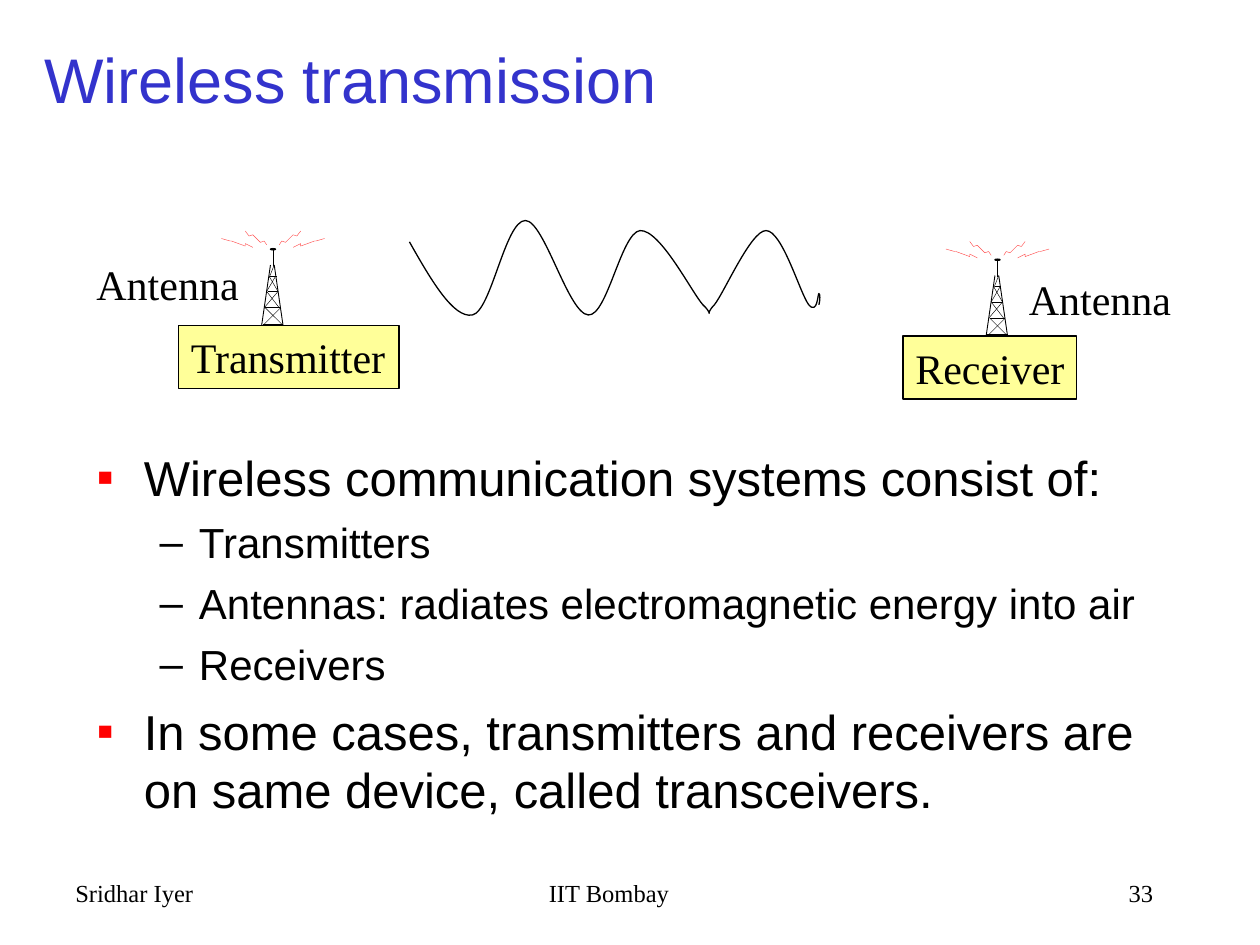
from dataclasses import dataclass
from pptx import Presentation
from pptx.dml.color import RGBColor as Rgb
from pptx.enum.shapes import MSO_CONNECTOR as Link, MSO_SHAPE as Form
from pptx.enum.text import MSO_ANCHOR as Anchor, MSO_AUTO_SIZE as Auto, PP_ALIGN as Align
from pptx.oxml.ns import qn
from pptx.util import Inches, Pt
from lxml.etree import SubElement as Sub

WIDE, HIGH = Inches(10), Inches(7.5)
CELL = WIDE // 120


@dataclass(frozen=True)
class Theme:
    ink: str = "000000"
    title: str = "3333CC"
    mark: str = "FF0000"
    bolt: str = "FF5050"
    box: str = "FFFF99"
    tip: str = "C0C0C0"
    sans: str = "Arial"
    serif: str = "Times New Roman"
    head: int = 36
    top: int = 28
    sub: int = 24
    foot: int = 14


LOOK = Theme()

BOLTS = [
    [(.16, -.62), (.22, -.65), (.22, -.63), (.33, -.67), (.34, -.67), (.41, -.69)],
    [(.05, -.64), (.07, -.67), (.1, -.66), (.16, -.72), (.19, -.71), (.22, -.75)],
]
BARS = [
    (-.02, -.39, .03, -.39), (0, -.47, 0, -.6), (-.09, 0, -.02, -.48),
    (.01, -.48, .08, 0), (-.08, -.01, .08, -.01), (-.06, -.14, .06, -.14),
    (-.04, -.27, .04, -.27),
]
BRACES = [
    (-.06, -.14, .07, -.01), (.06, -.14, -.07, -.01), (-.05, -.27, .05, -.14),
    (-.07, -.14, .04, -.27), (-.03, -.39, .04, -.27), (-.05, -.27, .02, -.39),
    (-.03, -.38, .01, -.48),
]
WAVE = [
    (3.25, 1.92),
    (3.42, 2.22), (3.6, 2.53), (3.75, 2.5), (3.9, 2.47), (4.01, 1.75), (4.17, 1.75),
    (4.32, 1.75), (4.51, 2.49), (4.67, 2.5), (4.82, 2.51), (4.93, 1.85), (5.08, 1.83),
    (5.24, 1.82), (5.49, 2.32), (5.58, 2.42), (5.68, 2.51), (5.58, 2.51), (5.67, 2.42),
    (5.75, 2.32), (5.96, 1.83), (6.08, 1.83), (6.21, 1.83), (6.35, 2.33), (6.42, 2.42),
    (6.49, 2.5), (6.49, 2.33), (6.5, 2.33), (6.51, 2.33), (6.51, 2.38), (6.5, 2.42),
]
POINTS = [
    ("Wireless communication systems consist of:", 0),
    ("Transmitters", 1),
    ("Antennas: radiates electromagnetic energy into air", 1),
    ("Receivers", 1),
    ("In some cases, transmitters and receivers are on same device, called transceivers.", 0),
]


def apply(item, **form):
    for key, value in form.items():
        setattr(item, key, value)


def grid(*cells):
    return [round(n * CELL) for n in cells]


def place(item, *cells):
    x, y, w, h = grid(*cells)
    apply(item, left=x, top=y, width=w, height=h)


def write(para, text, size, face, tone=LOOK.ink):
    run = para.add_run()
    run.text = text
    apply(run.font, size=Pt(size), name=face)
    run.font.color.rgb = Rgb.from_string(tone)


def stroke(item, tone, width):
    item.line.color.rgb = Rgb.from_string(tone)
    item.line.width = Pt(width)


def paint(item, tone):
    item.shadow.inherit = False
    item.fill.solid()
    item.fill.fore_color.rgb = Rgb.from_string(tone)
    stroke(item, LOOK.ink, .75)


def trace(shapes, spots, tone, width):
    pen = shapes.build_freeform(*spots[0], scale=1.0)
    pen.add_line_segments(spots[1:], close=False)
    item = pen.convert_to_shape()
    item.shadow.inherit = False
    item.fill.background()
    stroke(item, tone, width)
    return item


def bar(shapes, ends, width):
    item = shapes.add_connector(Link.STRAIGHT, *ends)
    stroke(item, LOOK.ink, width)
    Sub(item._element.spPr, qn("a:effectLst"))


def tower(slide, col, row):
    shapes = slide.shapes.add_group_shape().shapes
    x, y = grid(col, row)
    for side in (1, -1):
        for bolt in BOLTS:
            spots = [(x + Inches(side * dx), y + Inches(dy)) for dx, dy in bolt]
            trace(shapes, spots, LOOK.bolt, .25)
    for rows, width in ((BARS, .5), (BRACES, .25)):
        for a, b, c, d in rows:
            ends = x + Inches(a), y + Inches(b), x + Inches(c), y + Inches(d)
            bar(shapes, ends, width)
    tip = shapes.add_shape(Form.OVAL, x - Inches(.02), y - Inches(.61), Inches(.04), Inches(.01))
    paint(tip, LOOK.tip)


def fill(item, text, size, align=Align.LEFT, wrap=False):
    apply(item.text_frame, word_wrap=wrap, vertical_anchor=Anchor.TOP)
    para = item.text_frame.paragraphs[0]
    para.alignment = align
    write(para, text, size, LOOK.serif)


def label(slide, text, x, y, w, size=LOOK.sub, **form):
    item = slide.shapes.add_textbox(*grid(x, y, w, 6))
    fill(item, text, size, **form)


def box(slide, text, x, y, w):
    item = slide.shapes.add_shape(Form.RECTANGLE, *grid(x, y, w, 6))
    paint(item, LOOK.box)
    fill(item, text, LOOK.sub)


def wave(slide):
    spots = [(Inches(x), Inches(y)) for x, y in WAVE]
    item = trace(slide.shapes, spots, LOOK.ink, .75)
    steps = list(item._element.iter(qn("a:lnTo")))
    route = steps[0].getparent()
    for i in range(0, len(steps), 3):
        bend = Sub(route, qn("a:cubicBezTo"))
        for step in steps[i:i + 3]:
            bend.append(step[0])
            route.remove(step)


def title(slide, text):
    item = slide.shapes.title
    place(item, 3, 2, 102, 11)
    apply(item.text_frame, vertical_anchor=Anchor.MIDDLE, auto_size=Auto.NONE)
    para = item.text_frame.paragraphs[0]
    para.alignment = Align.LEFT
    write(para, text, LOOK.head, LOOK.sans, LOOK.title)


def bullet(para, level):
    left, hang, mark, tone = [(27, 27, "▪", LOOK.mark), (58.5, 22.5, "–", LOOK.ink)][level]
    props = para._p.get_or_add_pPr()
    props.set("marL", str(Pt(left)))
    props.set("indent", str(-Pt(hang)))
    Sub(Sub(props, qn("a:buClr")), qn("a:srgbClr"), val=tone)
    Sub(props, qn("a:buFont"), typeface=LOOK.sans)
    Sub(props, qn("a:buChar"), char=mark)


def body(slide, points):
    item = slide.placeholders[1]
    place(item, 8, 42, 102, 43)
    frame = item.text_frame
    frame.auto_size = Auto.NONE
    for i, (text, level) in enumerate(points):
        para = frame.add_paragraph() if i else frame.paragraphs[0]
        bullet(para, level)
        apply(para, level=level, space_before=Pt((7, 6)[level] if i else 0))
        write(para, text, (LOOK.top, LOOK.sub)[level], LOOK.sans)


def main():
    deck = Presentation()
    apply(deck, slide_width=WIDE, slide_height=HIGH)
    slide = deck.slides.add_slide(deck.slide_layouts[1])
    title(slide, "Wireless transmission")
    body(slide, POINTS)
    for text, x, w, align in (("Sridhar Iyer", 6, 25, Align.LEFT),
                              ("IIT Bombay", 39, 38, Align.CENTER),
                              ("33", 86, 25, Align.RIGHT)):
        label(slide, text, x, 83, w, size=LOOK.foot, align=align, wrap=True)
    for text, x, y, w, mast in (("Transmitter", 17, 31, 21, 26),
                                ("Receiver", 86, 32, 16.5, 95)):
        tower(slide, mast, y)
        box(slide, text, x, y, w)
    for x, y in ((96.8, 25.5), (8, 24)):
        label(slide, "Antenna", x, y, 16)
    wave(slide)
    deck.save("out.pptx")


if __name__ == "__main__":
    main()
